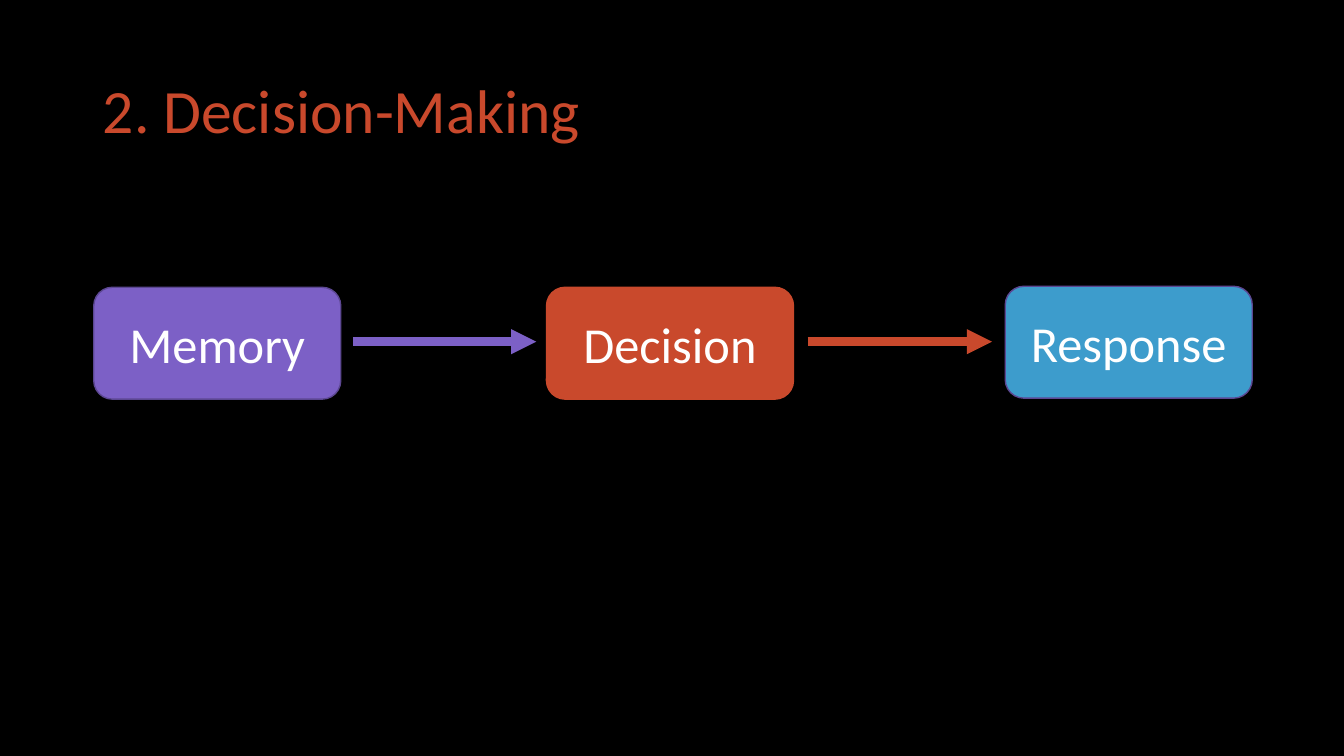
from pptx import Presentation
from pptx.dml.color import RGBColor
from pptx.enum import shapes, text
from pptx.oxml.ns import qn
from pptx.util import Inches, Pt
from lxml import etree

PURPLE, ORANGE, BLUE = "7C60C6", "C9492C", "3D9CCC"
DARK_PURPLE, WHITE, BLACK = "5C4792", "FFFFFF", "000000"
STAGE_WIDTH, STAGE_HEIGHT = 2.45, 1.11
ARROW_Y = 3.39

STAGES = [
    ("Memory", 0.93, 2.85, PURPLE, DARK_PURPLE),
    ("Decision", 5.42, 2.85, ORANGE, ORANGE),
    ("Response", 9.97, 2.84, BLUE, DARK_PURPLE),
]
ARROWS = [(3.5, 5.32, PURPLE), (8.01, 9.84, ORANGE)]


def rgb(value):
    return RGBColor.from_string(value)


def write(shape, words, size, color, align):
    frame = shape.text_frame
    frame.word_wrap = True
    frame.vertical_anchor = text.MSO_ANCHOR.MIDDLE
    paragraph = frame.paragraphs[0]
    paragraph.alignment = align
    run = paragraph.add_run()
    run.text = words
    for name, value in {"name": "Calibri", "size": Pt(size)}.items():
        setattr(run.font, name, value)
    run.font.color.rgb = rgb(color)
    return paragraph


def set_title(slide, words):
    title = slide.shapes.title
    place = {"left": 0.92, "top": 0.4, "width": 11.5, "height": 1.45}
    for name, value in place.items():
        setattr(title, name, Inches(value))
    heading = write(title, words, 44, ORANGE, text.PP_ALIGN.LEFT)
    heading.line_spacing = 0.9


def add_stage(slide, words, left, top, fill, outline):
    stage = slide.shapes.add_shape(
        shapes.MSO_SHAPE.ROUNDED_RECTANGLE,
        Inches(left), Inches(top), Inches(STAGE_WIDTH), Inches(STAGE_HEIGHT))
    stage.shadow.inherit = False
    stage.fill.solid()
    stage.fill.fore_color.rgb = rgb(fill)
    stage.line.color.rgb = rgb(outline)
    stage.line.width = Pt(1)
    write(stage, words, 36, WHITE, text.PP_ALIGN.CENTER)


def add_arrow(slide, start, end, color):
    arrow = slide.shapes.add_connector(
        shapes.MSO_CONNECTOR.STRAIGHT,
        Inches(start), Inches(ARROW_Y), Inches(end), Inches(ARROW_Y))
    arrow.line.color.rgb = rgb(color)
    arrow.line.width = Pt(6)
    etree.SubElement(arrow.line._get_or_add_ln(), qn("a:tailEnd"), type="triangle")
    etree.SubElement(arrow._element.spPr, qn("a:effectLst"))


def main():
    deck = Presentation()
    deck.slide_width, deck.slide_height = Inches(13.33), Inches(7.5)
    slide = deck.slides.add_slide(deck.slide_layouts.get_by_name("Title Only"))
    slide.background.fill.solid()
    slide.background.fill.fore_color.rgb = rgb(BLACK)
    set_title(slide, "2. Decision-Making")
    for stage in STAGES:
        add_stage(slide, *stage)
    for arrow in ARROWS:
        add_arrow(slide, *arrow)
    deck.save("out.pptx")


if __name__ == "__main__":
    main()
